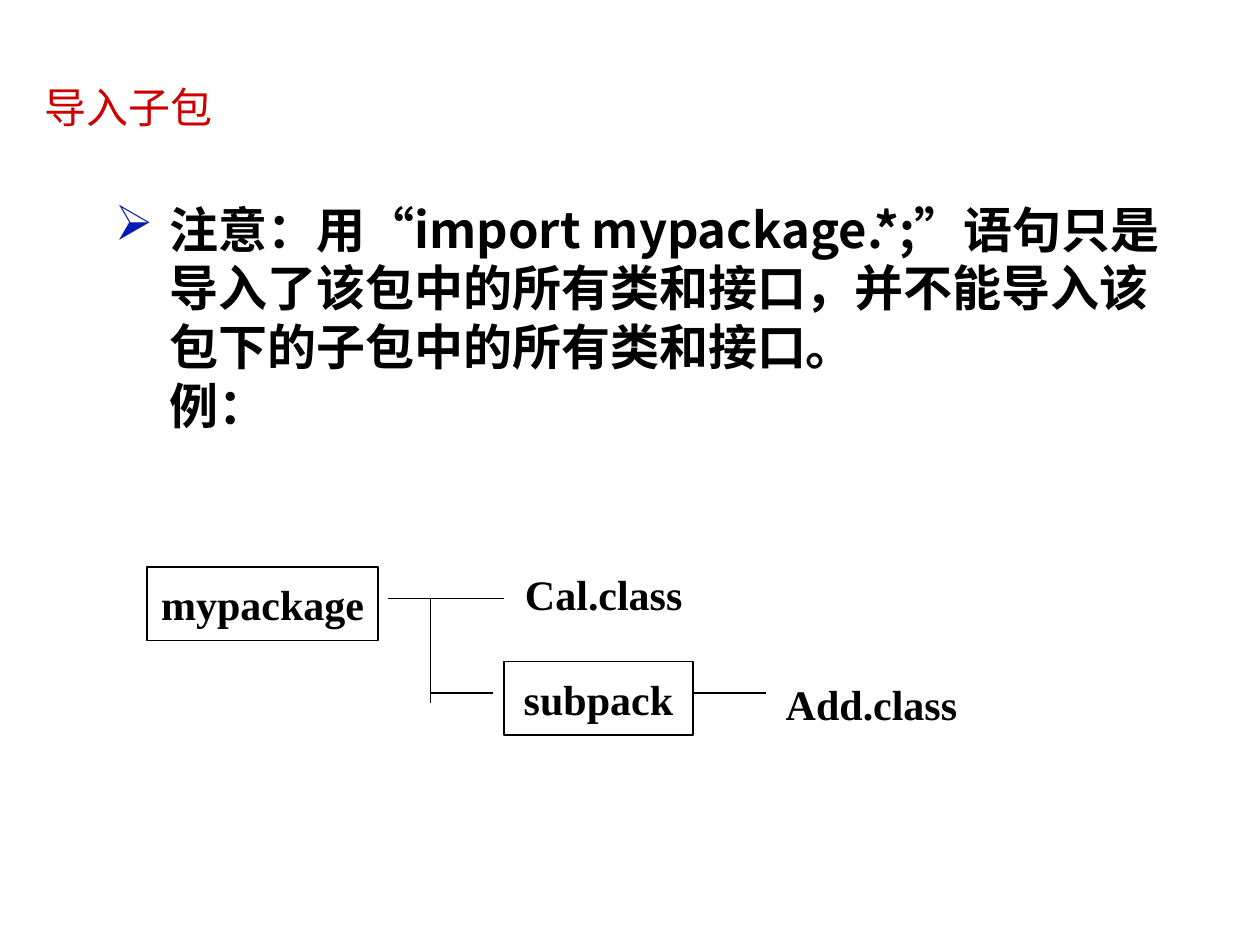
import dataclasses

import pptx
import pptx.dml.color
import pptx.enum.shapes
import pptx.enum.text
import pptx.oxml.ns
import pptx.util
from lxml import etree

Pt = pptx.util.Pt
Align = pptx.enum.text.PP_ALIGN
Anchor = pptx.enum.text.MSO_ANCHOR
Kind = pptx.enum.shapes.MSO_SHAPE
qn = pptx.oxml.ns.qn

SANS, SERIF = "Noto Sans CJK SC", "Times New Roman"
BLACK, RED, BLUE = "000000", "CC0000", "051AB3"


@dataclasses.dataclass
class Node:
    text: str
    left: float
    top: float
    width: float
    height: float
    framed: bool = False


@dataclasses.dataclass
class Line:
    x1: float
    y1: float
    x2: float
    y2: float


NODES = [
    Node("mypackage", 84, 324, 132, 42, framed=True),
    Node("Cal.class", 300, 324, 90, 30),
    Node("subpack", 288, 378, 108, 42, framed=True),
    Node("Add.class", 450, 384, 96, 36),
]
TRUNK, UPPER, LOWER = 246, 342, 396
LINES = [
    Line(222, UPPER, 288, UPPER),
    Line(TRUNK, UPPER, TRUNK, 402),
    Line(TRUNK, LOWER, 282, LOWER),
    Line(396, LOWER, 438, LOWER),
]


def color(code: str) -> pptx.dml.color.RGBColor:
    return pptx.dml.color.RGBColor.from_string(code)


def write(shape, text: str, *, size: float = 24, font: str = SERIF,
          ink: str = BLACK, bold: bool = True, align=Align.CENTER,
          anchor=Anchor.MIDDLE, wrap: bool = False, space=None):
    """Fill a shape with one paragraph, in which \\v breaks a line."""
    frame = shape.text_frame
    frame.auto_size = pptx.enum.text.MSO_AUTO_SIZE.NONE
    frame.word_wrap = wrap
    frame.vertical_anchor = anchor
    para = frame.paragraphs[0]
    para.text = text
    para.alignment = align
    if space:
        para.line_spacing = space
    for run in para.runs:
        run.font.size = Pt(size)
        run.font.name = font
        run.font.bold = bold
        run.font.color.rgb = color(ink)
        east = etree.SubElement(run.font._element, qn("a:ea"))
        east.set("typeface", font)
    return para


def bullet(para, mark: str, ink: str, left: float, hang: float) -> None:
    props = para._p.get_or_add_pPr()
    props.set("marL", str(Pt(left)))
    props.set("indent", str(-Pt(hang)))
    tint = etree.SubElement(props, qn("a:buClr"))
    etree.SubElement(tint, qn("a:srgbClr")).set("val", ink)
    etree.SubElement(props, qn("a:buChar")).set("char", mark)


def add_node(slide, node: Node) -> None:
    place = [Pt(v) for v in (node.left, node.top, node.width, node.height)]
    if node.framed:
        shape = slide.shapes.add_shape(Kind.RECTANGLE, *place)
        shape.shadow.inherit = False
        shape.fill.background()
        shape.line.color.rgb = color(BLACK)
        shape.line.width = Pt(0.75)
    else:
        shape = slide.shapes.add_textbox(*place)
    write(shape, node.text)


def add_line(slide, line: Line) -> None:
    ends = [Pt(v) for v in (line.x1, line.y1, line.x2, line.y2)]
    link = slide.shapes.add_connector(
        pptx.enum.shapes.MSO_CONNECTOR.STRAIGHT, *ends)
    link.line.color.rgb = color(BLACK)
    link.line.width = Pt(0.75)
    etree.SubElement(link._element.spPr, qn("a:effectLst"))


def main() -> None:
    deck = pptx.Presentation()
    deck.slide_width, deck.slide_height = Pt(720), Pt(540)
    slide = deck.slides.add_slide(deck.slide_layouts.get_by_name("Title Only"))

    title = slide.shapes.title
    title.left, title.top = Pt(18), Pt(18)
    title.width, title.height = Pt(613.5), Pt(90)
    write(title, "导入子包", font=SANS, ink=RED, bold=False,
          align=Align.LEFT, wrap=True, space=0.9)

    body = slide.shapes.add_textbox(Pt(18), Pt(108), Pt(672), Pt(342))
    body.text_frame.margin_top = Pt(6)
    para = write(
        body,
        "注意：用“import mypackage.*;”语句只是导入了该包中的所有类和接口，"
        "并不能导入该包下的子包中的所有类和接口。\v例：",
        size=28, font=SANS, align=Align.LEFT, anchor=Anchor.TOP,
        wrap=True, space=Pt(33.5))
    bullet(para, "➢", BLUE, left=72, hang=31.5)

    for node in NODES:
        add_node(slide, node)
    for line in LINES:
        add_line(slide, line)
    deck.save("out.pptx")


if __name__ == "__main__":
    main()
